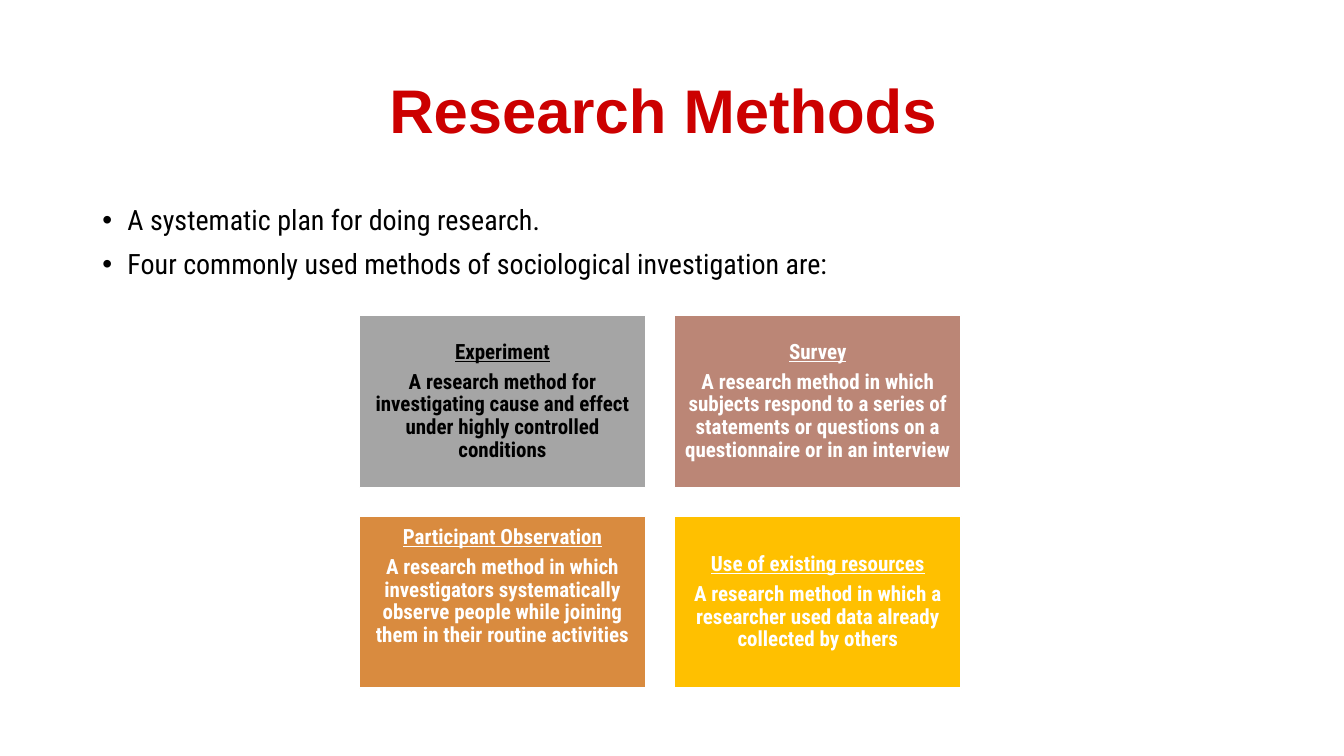
from pptx import Presentation
from pptx import util as u
from pptx.dml.color import RGBColor
from pptx.enum import shapes, text
from lxml import etree

METHODS = [
    ("Experiment", "A research method for investigating cause and effect "
     "under highly controlled conditions", "A5A5A5", "000000", 4.2),
    ("Survey", "A research method in which subjects respond to a series of "
     "statements or questions on a questionnaire or in an interview",
     "BB8676", "FFFFFF", 4.2),
    ("Participant Observation", "A research method in which investigators "
     "systematically observe people while joining them in their routine "
     "activities", "D98B3F", "FFFFFF", 26.5),
    ("Use of existing resources", "A research method in which a researcher "
     "used data already collected by others", "FFC000", "FFFFFF", 4.2),
]
BULLETS = ["A systematic plan for doing research.",
           "Four commonly used methods of sociological investigation are:"]


def rgb(value):
    return RGBColor.from_string(value)


def set_all(obj, values):
    for name, value in values.items():
        setattr(obj, name, value)


class Deck:
    body_font = "Roboto Condensed"

    def __init__(self, width, height):
        self.prs = Presentation()
        set_all(self.prs, {"slide_width": u.Pt(width),
                           "slide_height": u.Pt(height)})
        self.s = self.prs.slides.add_slide(self.prs.slide_layouts[6])

    def add_lines(self, tf, lines, color, para, anchor=text.MSO_ANCHOR.TOP):
        """Fill a text frame with (wording, font values) lines."""
        set_all(tf, {"word_wrap": True, "vertical_anchor": anchor})
        for i, (wording, font) in enumerate(lines):
            p = tf.paragraphs[0] if i == 0 else tf.add_paragraph()
            set_all(p, {"line_spacing": 0.9, **para})
            r = p.add_run()
            r.text = wording
            set_all(r.font, {"name": self.body_font, **font})
            r.font.color.rgb = rgb(color)

    def text_box(self, x, y, w, h):
        return self.s.shapes.add_textbox(*map(u.Pt, (x, y, w, h))).text_frame

    def title(self, wording, *box):
        font = {"name": "Arial", "size": u.Pt(44), "bold": True}
        self.add_lines(self.text_box(*box), [(wording, font)], "CC0000",
                       {"alignment": text.PP_ALIGN.CENTER},
                       text.MSO_ANCHOR.MIDDLE)

    def bullets(self, wordings, *box):
        tf = self.text_box(*box)
        self.add_lines(tf, [(t, {"size": u.Pt(20)}) for t in wordings],
                       "000000", {"space_before": u.Pt(10)})
        for p in tf.paragraphs:
            pPr = p._p.get_or_add_pPr()
            pPr.set("marL", str(u.Pt(18)))
            pPr.set("indent", str(u.Pt(-18)))
            ns = pPr.nsmap["a"]
            etree.SubElement(pPr, f"{{{ns}}}buFont", typeface="Arial")
            etree.SubElement(pPr, f"{{{ns}}}buChar", char="•")

    def card(self, heading, detail, fill, color, bottom, *box):
        sp = self.s.shapes.add_shape(shapes.MSO_SHAPE.RECTANGLE,
                                     *map(u.Pt, box))
        sp.shadow.inherit = False
        sp.fill.solid()
        sp.fill.fore_color.rgb = rgb(fill)
        sp.line.color.rgb = rgb("FFFFFF")
        sp.line.width = u.Pt(1)
        tf = sp.text_frame
        set_all(tf, {"margin_left": u.Pt(4.2), "margin_right": u.Pt(4.2),
                     "margin_top": u.Pt(4.2), "margin_bottom": u.Pt(bottom)})
        font = {"size": u.Pt(15), "bold": True}
        self.add_lines(tf, [(heading, {**font, "underline": True}),
                            (detail, font)], color,
                       {"alignment": text.PP_ALIGN.CENTER,
                        "space_after": u.Pt(5.25)}, text.MSO_ANCHOR.MIDDLE)


def main():
    deck = Deck(960, 540)
    deck.title("Research Methods ", 66, 28.75, 828, 104.4)
    deck.bullets(BULLETS, 66, 143.75, 828, 342.6)
    for i, method in enumerate(METHODS):
        row, col = divmod(i, 2)
        deck.card(*method, 256.6 + 225.2 * col, 225.4 + 143.4 * row,
                  204.7, 122.8)
    deck.prs.save("out.pptx")


if __name__ == "__main__":
    main()
